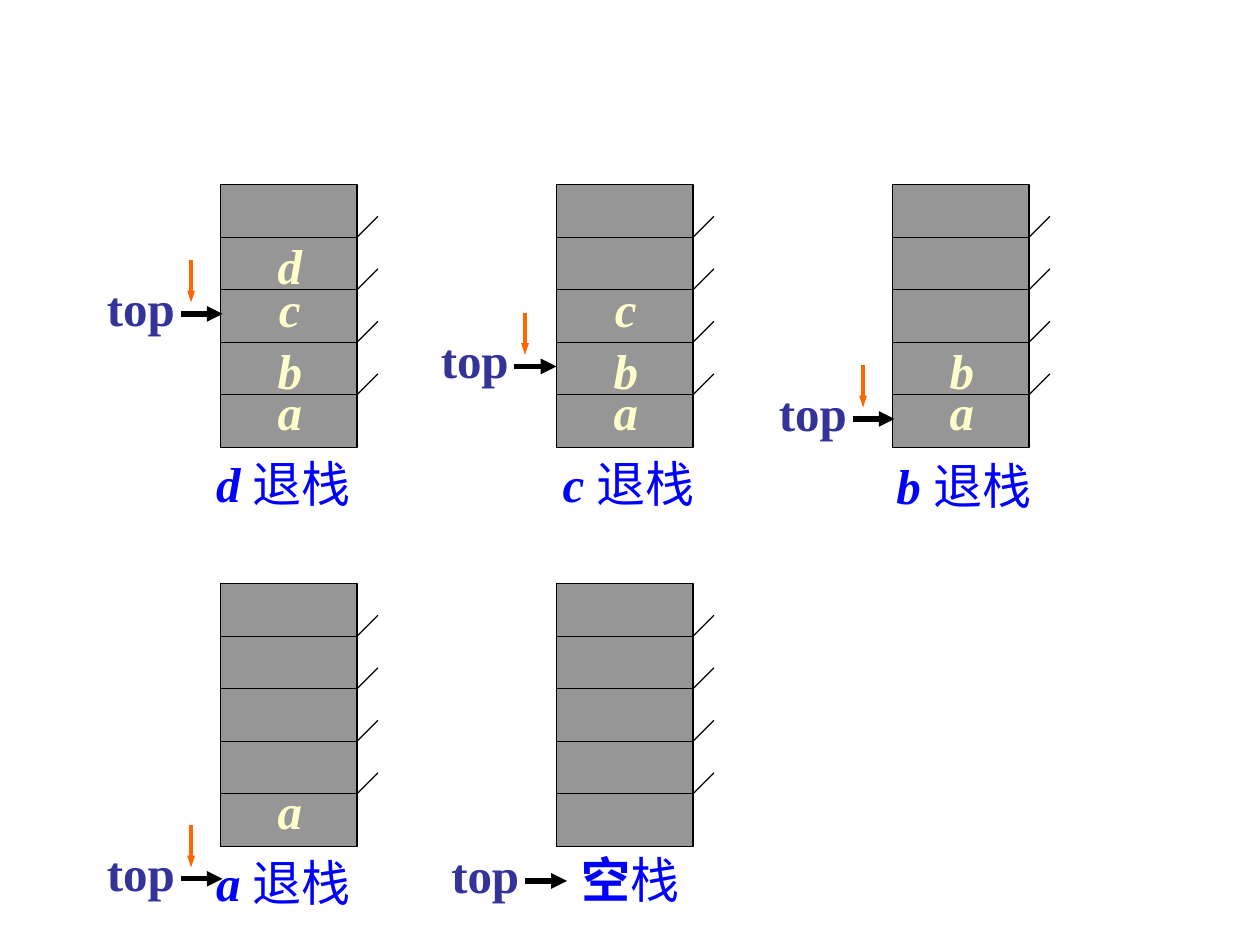
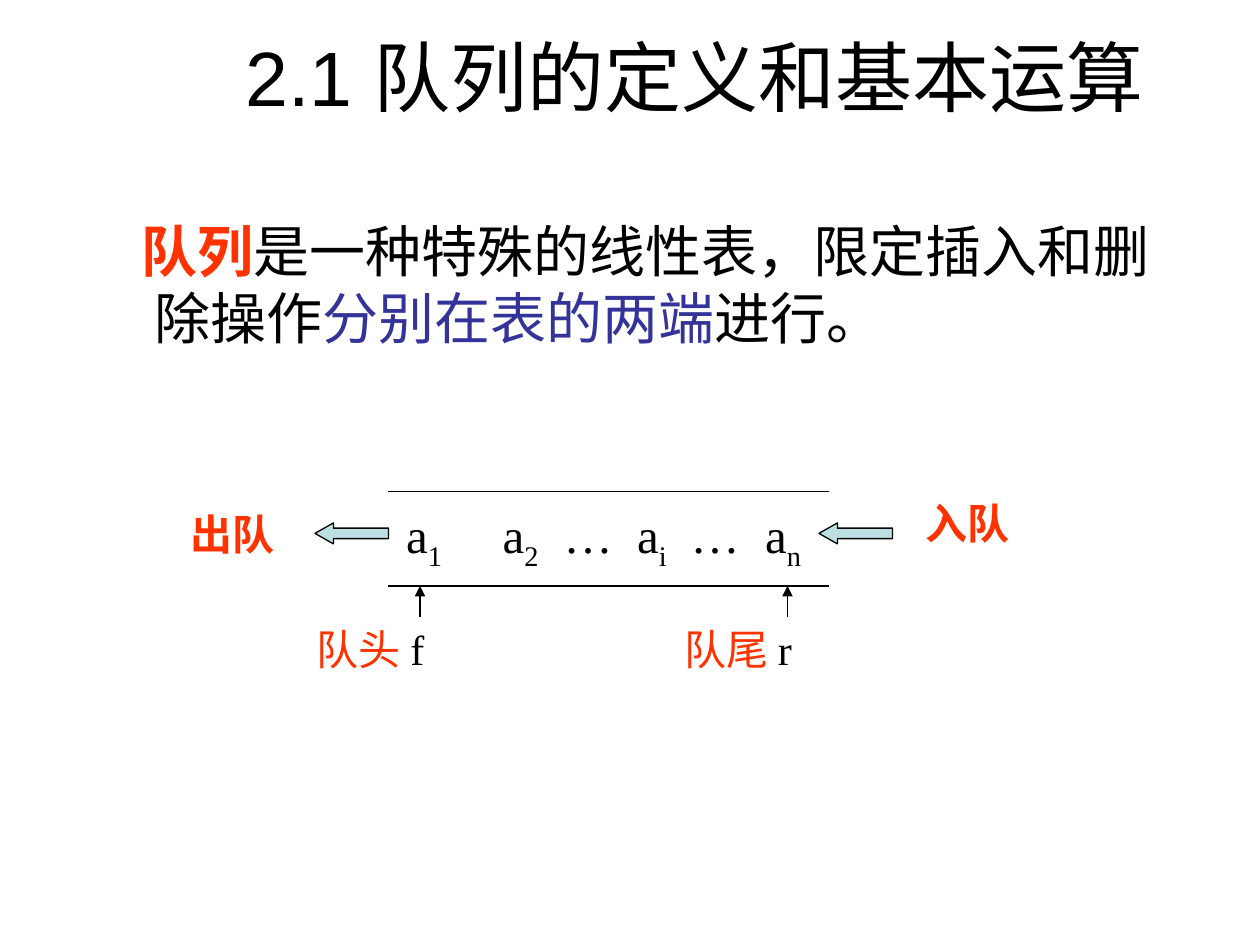
import pptx
import pptx.util
import pptx.dml.color
import pptx.enum.shapes
import pptx.enum.text
import pptx.oxml
import pptx.oxml.ns
import lxml.etree

COLORS = {
    "black": "000000", "cell": "969696", "letter": "FFFFCC", "caption": "0000FF",
    "pointer": "333399", "move": "FF6600", "accent": "FF3300", "arrow": "BBE0E3",
}
SERIF = "Times New Roman"
SANS = "Arial"
SLIDE_WIDTH = pptx.util.Inches(10)
SLIDE_HEIGHT = pptx.util.Inches(7.5)
UNIT = SLIDE_WIDTH / 120

STACK_WIDTH, ROW_HEIGHT, ROW_COUNT = 13, 5, 5
STACK_STEP, FIRST_LEFT = 32, 21
STACK_ROWS = (17.6, 55.6)
TEXT_HEIGHT = 6.8
LETTER_TOPS = {"a": 18.1, "b": 14.2, "c": 8.3, "d": 4.2}


def units(count):
    return pptx.util.Emu(round(count * UNIT))


def rgb(name):
    return pptx.dml.color.RGBColor.from_string(COLORS[name])


def set_font(font, name, size, color, bold=False, italic=False):
    font.name = name
    font.size = pptx.util.Pt(size)
    font.color.rgb = rgb(color)
    font.bold = bold
    font.italic = italic


def add_text(page, left, top, width, height, spans, name, size, wrap=False, align=None):
    box = page.shapes.add_textbox(units(left), units(top), units(width), units(height))
    box.text_frame.word_wrap = wrap
    para = box.text_frame.paragraphs[0]
    para.alignment = align
    for text, color, *style in spans:
        span = para.add_run()
        span.text = text
        set_font(span.font, name, size, color, *style)
    return para


def add_line(page, start, end, color="black", weight=0.75, head_width=None):
    line = page.shapes.add_connector(
        pptx.enum.shapes.MSO_CONNECTOR.STRAIGHT,
        *(units(value) for value in (*start, *end)))
    line.line.color.rgb = rgb(color)
    line.line.width = pptx.util.Pt(weight)
    if head_width:
        lxml.etree.SubElement(line.line._get_or_add_ln(), pptx.oxml.ns.qn("a:tailEnd"),
                              type="triangle", w=head_width)
    lxml.etree.SubElement(line._element.spPr, pptx.oxml.ns.qn("a:effectLst"))


def add_block(page, kind, left, top, width, height, fill):
    block = page.shapes.add_shape(
        kind, units(left), units(top), units(width), units(height))
    block.shadow.inherit = False
    block.fill.solid()
    block.fill.fore_color.rgb = rgb(fill)
    block.line.color.rgb = rgb("black")
    block.line.width = pptx.util.Pt(0.75)
    return block


def draw_pointer(page, left, top, moving):
    add_text(page, left, top, 8.9, TEXT_HEIGHT, [("top", "pointer", True)], SERIF, 28)
    add_line(page, (left + 8.2, top + 4.1), (left + 12.2, top + 4.1),
             weight=3, head_width="med")
    if moving:
        add_line(page, (left + 9.2, top - 1), (left + 9.2, top + 3),
                 "move", 2.25, "sm")


def draw_stack(page, left, top, letters):
    right = left + STACK_WIDTH
    add_block(page, pptx.enum.shapes.MSO_SHAPE.RECTANGLE, left, top,
              STACK_WIDTH, ROW_HEIGHT * ROW_COUNT, "cell")
    for row in range(1, ROW_COUNT):
        level = top + row * ROW_HEIGHT
        add_line(page, (left, level), (right, level))
        add_line(page, (right, level), (right + 2, level - 2))
    for letter in letters:
        add_text(page, left + 0.1, top + LETTER_TOPS[letter], STACK_WIDTH, TEXT_HEIGHT,
                 [(letter, "letter", True, True)], SERIF, 28,
                 align=pptx.enum.text.PP_ALIGN.CENTER)


def popped(letter):
    return [(letter + " ", "caption", True, True), ("退栈", "caption")]


def build_stack_page(deck):
    page = deck.slides.add_slide(deck.slide_layouts[6])
    empty = [("空", "caption", True), ("栈", "caption")]
    stacks = [
        (0, 0, "abcd", popped("d"), (-1.6, 25), (-12, 8.2)),
        (1, 0, "abc", popped("c"), (-0.6, 25), (-12.2, 13.2)),
        (2, 0, "ab", popped("b"), (-0.8, 25.2), (-12, 18.2)),
        (0, 1, "a", popped("a"), (-1.6, 25), (-12, 24)),
        (1, 1, "", empty, (1.2, 24.7), (-11.2, 24.2)),
    ]
    for column, row, letters, caption, caption_at, pointer_at in stacks:
        left = FIRST_LEFT + column * STACK_STEP
        top = STACK_ROWS[row]
        draw_stack(page, left, top, letters)
        add_text(page, left + caption_at[0], top + caption_at[1], 18, TEXT_HEIGHT,
                 caption, SERIF, 28)
        draw_pointer(page, left + pointer_at[0], top + pointer_at[1], bool(letters))


def draw_title(page, text):
    title = page.shapes.title
    title.left, title.top = units(15.1), units(0)
    title.width, title.height = units(102.2), units(12.2)
    title.text_frame.text = text
    title.text_frame.vertical_anchor = pptx.enum.text.MSO_ANCHOR.BOTTOM
    para = title.text_frame.paragraphs[0]
    para.alignment = pptx.enum.text.PP_ALIGN.CENTER
    set_font(para.font, SANS, 44, "black")


def draw_definition(page, left, top):
    para = add_text(page, left, top, 102, 16, [
        ("队列", "accent", True),
        ("是一种特殊的线性表，限定插入和删除操作", "black"),
        ("分别在表的两端", "pointer"),
        ("进行。", "black"),
    ], SANS, 32, wrap=True)
    properties = para._p.get_or_add_pPr()
    properties.set("marL", str(units(4.5)))
    properties.set("indent", str(units(-1.2)))


def draw_items(page, left, top):
    pieces = ["a", "1", "\ta", "2", "\t…\ta", "i", "\t…\ta", "n"]
    para = add_text(page, left, top, 42, TEXT_HEIGHT,
                    [(piece, "black") for piece in pieces], SERIF, 28)
    for span in para.runs[1::2]:
        span.font._element.set("baseline", "-25000")
    stops = lxml.etree.SubElement(para._p.get_or_add_pPr(), pptx.oxml.ns.qn("a:tabLst"))
    for position in (9.2, 15, 22, 27.1, 34.2):
        lxml.etree.SubElement(stops, pptx.oxml.ns.qn("a:tab"),
                              pos=str(units(position)), algn="l")


def draw_queue(page, left, top, width, height):
    bottom = top + height
    for level in (top, bottom):
        add_line(page, (left, level), (left + width, level))
    draw_items(page, left + 0.5, top + 0.7)
    for offset, label_offset, label, letter in ((3, -8, "队头", "f"), (38, 27, "队尾", "r")):
        add_line(page, (left + offset, bottom + 3), (left + offset, bottom),
                 head_width="med")
        add_text(page, left + label_offset, bottom + 3, 15, 6,
                 [(label + " ", "accent"), (letter, "black")], SERIF, 24)
    for offset, label_offset, label_top, label in ((-7, -20, 1, "出队"), (41, 50, 0, "入队")):
        arrow = add_block(page, pptx.enum.shapes.MSO_SHAPE.LEFT_ARROW,
                          left + offset, top + 3, 7, 2, "arrow")
        arrow.adjustments[1] = 0.88
        add_text(page, left + label_offset, top + label_top, 12, 6,
                 [(label, "accent", True)], SERIF, 24)


def build_queue_page(deck):
    page = deck.slides.add_slide(deck.slide_layouts[5])
    draw_title(page, "2.1 队列的定义和基本运算")
    draw_definition(page, 9, 20)
    draw_queue(page, 37, 46.8, 42, 9)


def main():
    deck = pptx.Presentation()
    deck.slide_width, deck.slide_height = SLIDE_WIDTH, SLIDE_HEIGHT
    build_stack_page(deck)
    build_queue_page(deck)
    deck.save("out.pptx")


if __name__ == "__main__":
    main()
